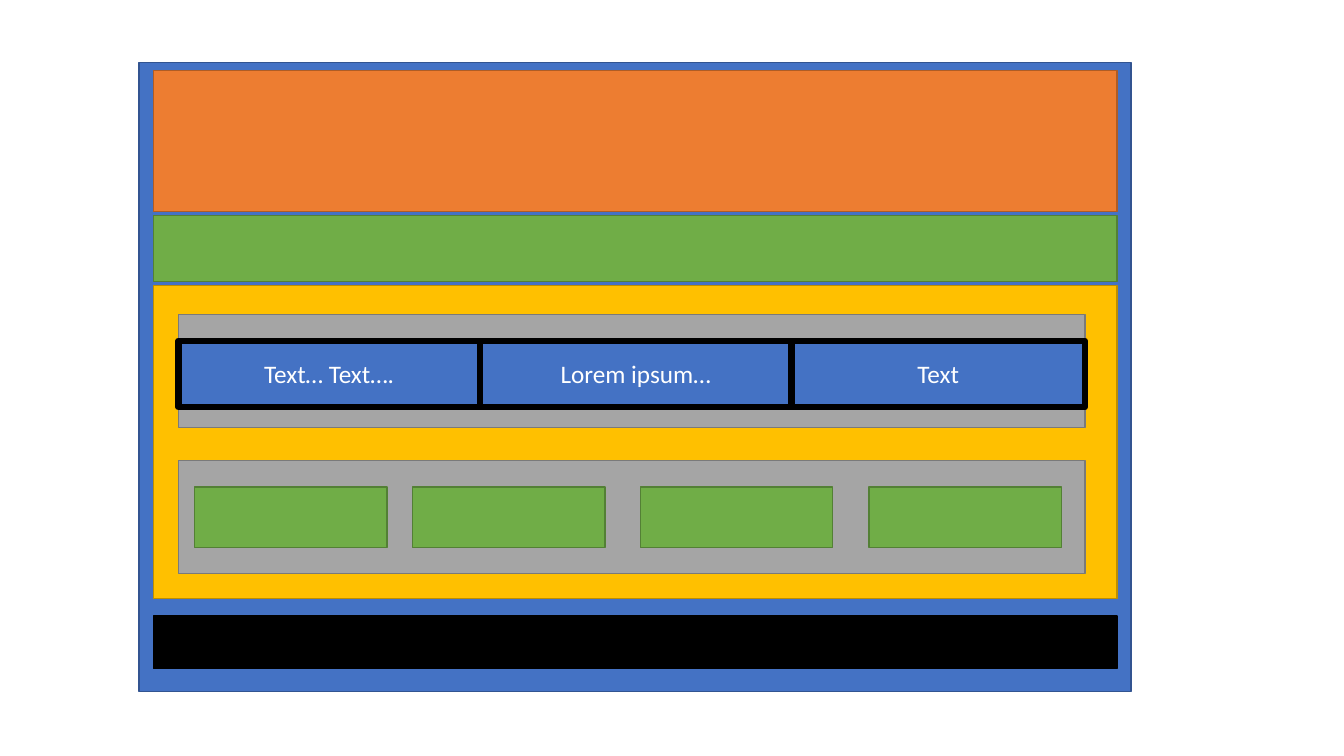
from pptx import Presentation
from pptx.dml.color import RGBColor
from pptx.enum.shapes import MSO_SHAPE
from pptx.enum.text import MSO_ANCHOR, PP_ALIGN
from pptx.util import Inches, Pt

BLUE, GREEN = "4472C4", "70AD47"
GREEN_LINE, BLACK = "538035", "000000"

FRAME = (1.38, 0.62, 9.84, 6.24)
BAND_LEFT, BAND_WIDTH = 1.52, 9.56
BANDS = [  # top, height, fill, line
    (0.7, 1.4, "ED7D31", "AF5C24"),
    (2.14, 0.65, GREEN, GREEN_LINE),
    (6.11, 0.52, BLACK, BLACK),
    (2.83, 3.11, "FFC000", "BD8E00"),
]
PANEL_LEFT, PANEL_WIDTH, PANEL_HEIGHT = 1.77, 8.99, 1.12
PANEL_TOPS = [3.12, 4.57]
TAB_TOP, TAB_HEIGHT = 3.38, 0.66
TABS = [  # left, width, label
    (1.77, 2.99, "Text… Text…."),
    (7.85, 2.91, "Text"),
    (4.76, 3.09, "Lorem ipsum…"),
]
CARD_LEFTS = [1.93, 4.09, 6.35, 8.62]
CARD_TOP, CARD_WIDTH, CARD_HEIGHT = 4.83, 1.91, 0.6


def color(value):
    return RGBColor.from_string(value)


def add_box(s, left, top, width, height, fill, line, line_width=1):
    sp = s.shapes.add_shape(MSO_SHAPE.RECTANGLE, Inches(left), Inches(top),
                            Inches(width), Inches(height))
    sp.shadow.inherit = False
    sp.fill.solid()
    sp.fill.fore_color.rgb = color(fill)
    sp.line.color.rgb = color(line)
    sp.line.width = Pt(line_width)
    return sp


def add_label(sp, text):
    tf = sp.text_frame
    tf.word_wrap = True
    tf.vertical_anchor = MSO_ANCHOR.MIDDLE
    p = tf.paragraphs[0]
    p.alignment = PP_ALIGN.CENTER
    r = p.add_run()
    r.text = text
    r.font.name = "Calibri"
    r.font.size = Pt(18)
    r.font.color.rgb = color("FFFFFF")


def main():
    prs = Presentation()
    prs.slide_width, prs.slide_height = Inches(13.33), Inches(7.5)
    s = prs.slides.add_slide(prs.slide_layouts[6])

    add_box(s, *FRAME, BLUE, "325491")
    for top, height, fill, line in BANDS:
        add_box(s, BAND_LEFT, top, BAND_WIDTH, height, fill, line)
    for top in PANEL_TOPS:
        add_box(s, PANEL_LEFT, top, PANEL_WIDTH, PANEL_HEIGHT, "A5A5A5", "7A7A7A")
    for left, width, label in TABS:
        tab = add_box(s, left, TAB_TOP, width, TAB_HEIGHT, BLUE, BLACK, 4.5)
        add_label(tab, label)
    for left in CARD_LEFTS:
        add_box(s, left, CARD_TOP, CARD_WIDTH, CARD_HEIGHT, GREEN, GREEN_LINE)

    prs.save("out.pptx")


if __name__ == "__main__":
    main()
